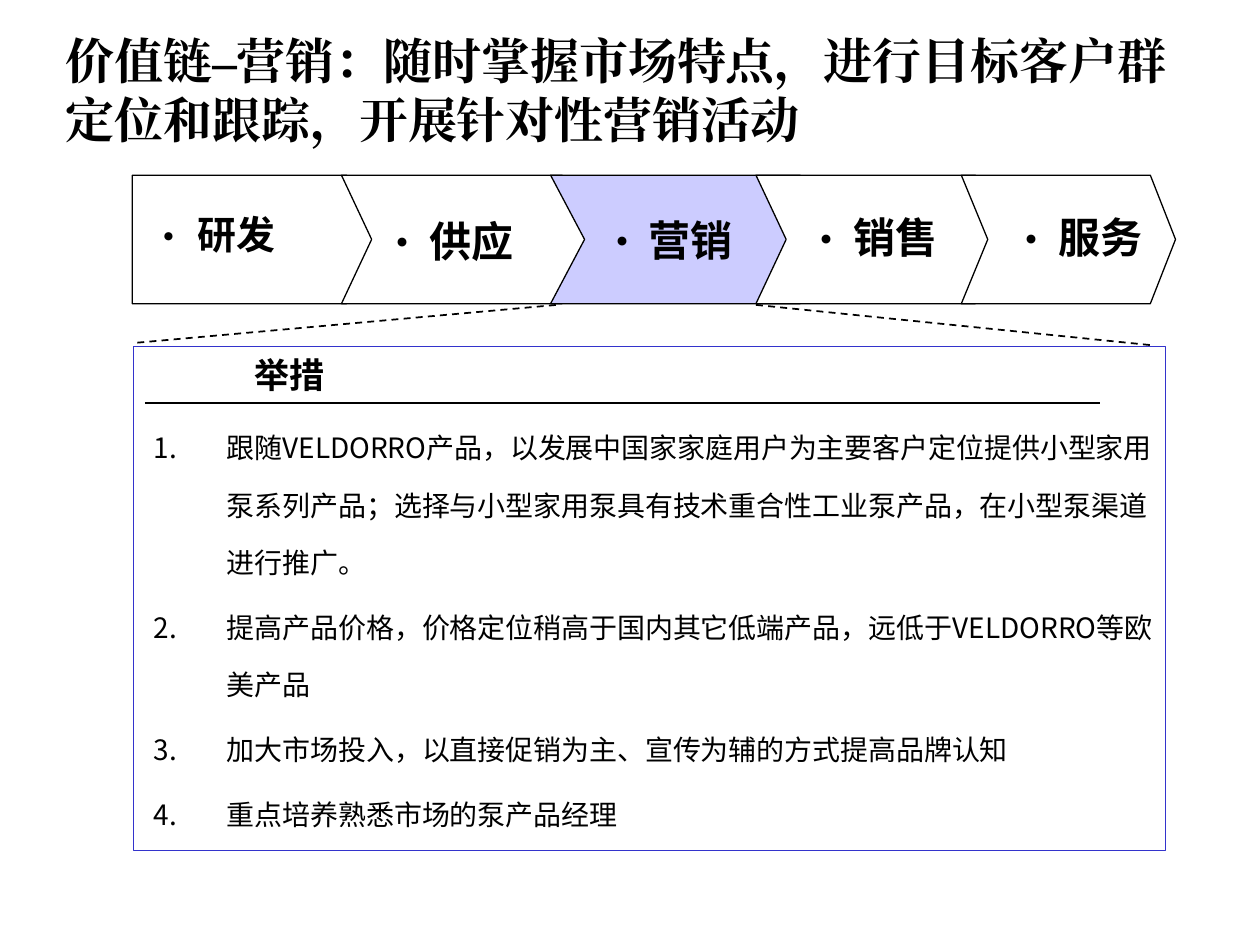
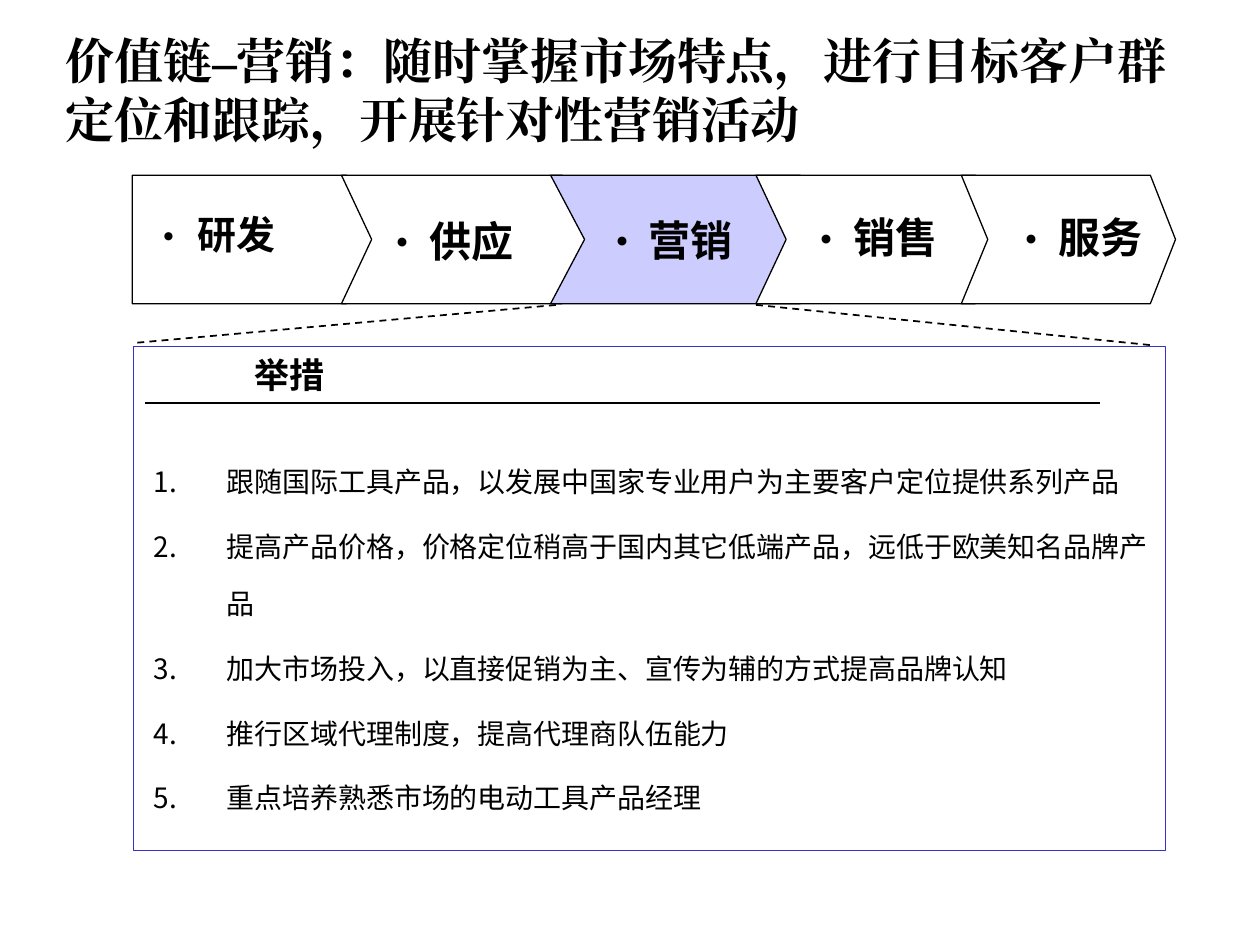
import pptx
import pptx.dml.color
import pptx.enum.dml
import pptx.enum.shapes
import pptx.enum.text
import pptx.oxml
import pptx.oxml.ns
import pptx.util
from pptx.util import Inches

BLACK, WHITE, BLUE, LILAC = "000000", "FFFFFF", "3333CC", "CCCCFF"
SANS, SERIF = "Noto Sans CJK SC", "Times New Roman"
TITLE = "价值链–营销：随时掌握市场特点，进行目标客户群定位和跟踪，开展针对性营销活动"
HEADING = "举措"
TOP, MIDDLE, BOTTOM = 1.39, 1.9, 2.41

# name, outline x (left, shoulder, tip, notch), label box, size, line spacing
STAGES = [
    ("研发", (1.05, 2.75, 2.98, 1.05), (1.14, 1.68, 1.29, 0.4), 22.2, 0.9),
    ("供应", (2.71, 4.46, 4.69, 2.95), (2.98, 1.47, 1.36, 0.88), 24, 1),
    ("营销", (4.37, 6.35, 6.63, 4.64), (4.72, 1.46, 1.28, 0.88), 24, 1),
    ("销售", (6, 7.74, 7.97, 6.24), (6.34, 1.44, 1.32, 0.88), 24, 1),
    ("服务", (7.63, 9.13, 9.33, 7.84), (7.97, 1.44, 1.22, 0.88), 24, 1),
]
LINES = [
    ((1.09, 2.72), (4.42, 2.42), True),
    ((6, 2.42), (9.14, 2.74), True),
    ((1.15, 3.2), (8.73, 3.2), False),
]
SLIDES = [
    ((1.17, 3.24, 8, 3.34), [
        "跟随VELDORRO产品，以发展中国家家庭用户为主要客户定位提供小型家用泵系列产品；选择与小型家用泵具有技术重合性工业泵产品，在小型泵渠道进行推广。",
        "提高产品价格，价格定位稍高于国内其它低端产品，远低于VELDORRO等欧美产品",
        "加大市场投入，以直接促销为主、宣传为辅的方式提高品牌认知",
        "重点培养熟悉市场的泵产品经理",
    ]),
    ((1.17, 3.51, 8, 2.94), [
        "跟随国际工具产品，以发展中国家专业用户为主要客户定位提供系列产品",
        "提高产品价格，价格定位稍高于国内其它低端产品，远低于欧美知名品牌产品",
        "加大市场投入，以直接促销为主、宣传为辅的方式提高品牌认知",
        "推行区域代理制度，提高代理商队伍能力",
        "重点培养熟悉市场的电动工具产品经理",
    ]),
]


def rgb(value):
    return pptx.dml.color.RGBColor.from_string(value)


def write(sp, box, texts, size, font=SANS, bold=True, insets=(0.05, 0, 0.05, 0),
          bullet=None, indent=0, spacing=1, before=0, align="LEFT"):
    sp.left, sp.top, sp.width, sp.height = [Inches(v) for v in box]
    tf = sp.text_frame
    tf.word_wrap = True
    tf.auto_size = pptx.enum.text.MSO_AUTO_SIZE.NONE
    tf.vertical_anchor = pptx.enum.text.MSO_ANCHOR.MIDDLE
    tf.margin_left, tf.margin_top, tf.margin_right, tf.margin_bottom = [Inches(v) for v in insets]
    for i, text in enumerate(texts):
        p = tf.paragraphs[0] if i == 0 else tf.add_paragraph()
        p.alignment = getattr(pptx.enum.text.PP_ALIGN, align)
        p.line_spacing = spacing
        p.space_before = pptx.util.Pt(before if i else 0)
        if bullet:
            pPr = p._p.get_or_add_pPr()
            pPr.set("marL", str(Inches(indent)))
            pPr.set("indent", str(-Inches(indent)))
            ns = pptx.oxml.ns.nsdecls("a")
            for xml in (f'<a:buClr {ns}><a:srgbClr val="{BLACK}"/></a:buClr>',
                        f'<a:buFont {ns} typeface="{SANS}"/>',
                        bullet.replace("/>", f" {ns}/>")):
                pPr.append(pptx.oxml.parse_xml(xml))
        r = p.add_run()
        r.text = text
        r.font.name = font
        r.font.size = pptx.util.Pt(size)
        r.font.bold = bold
        r.font.color.rgb = rgb(BLACK)
        ea = r._r.get_or_add_rPr().makeelement(pptx.oxml.ns.qn("a:ea"), {"typeface": font})
        r.font._element.find(pptx.oxml.ns.qn("a:latin")).addnext(ea)


prs = pptx.Presentation()
prs.slide_width, prs.slide_height = Inches(10), Inches(7.5)

for list_box, measures in SLIDES:
    s = prs.slides.add_slide(prs.slide_layouts[1])
    write(s.shapes.title, (0.42, 0.25, 9.08, 0.92), [TITLE], 28, SERIF,
          insets=(0.1, 0.05, 0.1, 0.05), spacing=pptx.util.Pt(33.5))

    frame = s.shapes.add_shape(pptx.enum.shapes.MSO_SHAPE.RECTANGLE,
                               Inches(1.06), Inches(2.75), Inches(8.19), Inches(4))
    frame.shadow.inherit = False
    frame.fill.solid()
    frame.fill.fore_color.rgb = rgb(WHITE)
    frame.line.color.rgb = rgb(BLUE)
    frame.line.width = pptx.util.Pt(1)

    for start, end, dashed in LINES:
        line = s.shapes.add_connector(pptx.enum.shapes.MSO_CONNECTOR.STRAIGHT,
                                      *[Inches(v) for v in start + end])
        line.line.color.rgb = rgb(BLACK)
        line.line.width = pptx.util.Pt(1)
        if dashed:
            line.line.dash_style = pptx.enum.dml.MSO_LINE.DASH
        spPr = line._element.spPr
        spPr.append(spPr.makeelement(pptx.oxml.ns.qn("a:effectLst"), {}))

    write(s.shapes.add_textbox(0, 0, 0, 0), (1.17, 2.75, 2.25, 0.44), [HEADING], 20,
          insets=(0.1, 0.05, 0.1, 0.05), align="CENTER")

    body = s.placeholders[1]
    s.shapes.element.append(body.element)
    body.fill.solid()
    body.fill.fore_color.rgb = rgb(WHITE)
    write(body, list_box, measures, 16, bold=False, insets=(0.05, 0, 0.02, 0),
          bullet='<a:buAutoNum type="arabicPeriod"/>', indent=0.58,
          spacing=pptx.util.Pt(32.9), before=4)

    for name, (left, shoulder, tip, notch), label_box, size, spacing in STAGES:
        points = [(shoulder, TOP), (tip, MIDDLE), (shoulder, BOTTOM), (left, BOTTOM), (notch, MIDDLE)]
        outline = s.shapes.build_freeform(Inches(left), Inches(TOP))
        outline.add_line_segments([(Inches(x), Inches(y)) for x, y in points], close=True)
        sp = outline.convert_to_shape()
        sp.shadow.inherit = False
        sp.fill.solid()
        sp.fill.fore_color.rgb = rgb(LILAC if name == "营销" else WHITE)
        sp.line.color.rgb = rgb(BLACK)
        sp.line.width = pptx.util.Pt(0.75)

    for name, outline_x, label_box, size, spacing in STAGES:
        write(s.shapes.add_textbox(0, 0, 0, 0), label_box, [name], size,
              bullet='<a:buChar char="•"/>', indent=0.38, spacing=spacing)

prs.save("out.pptx")
